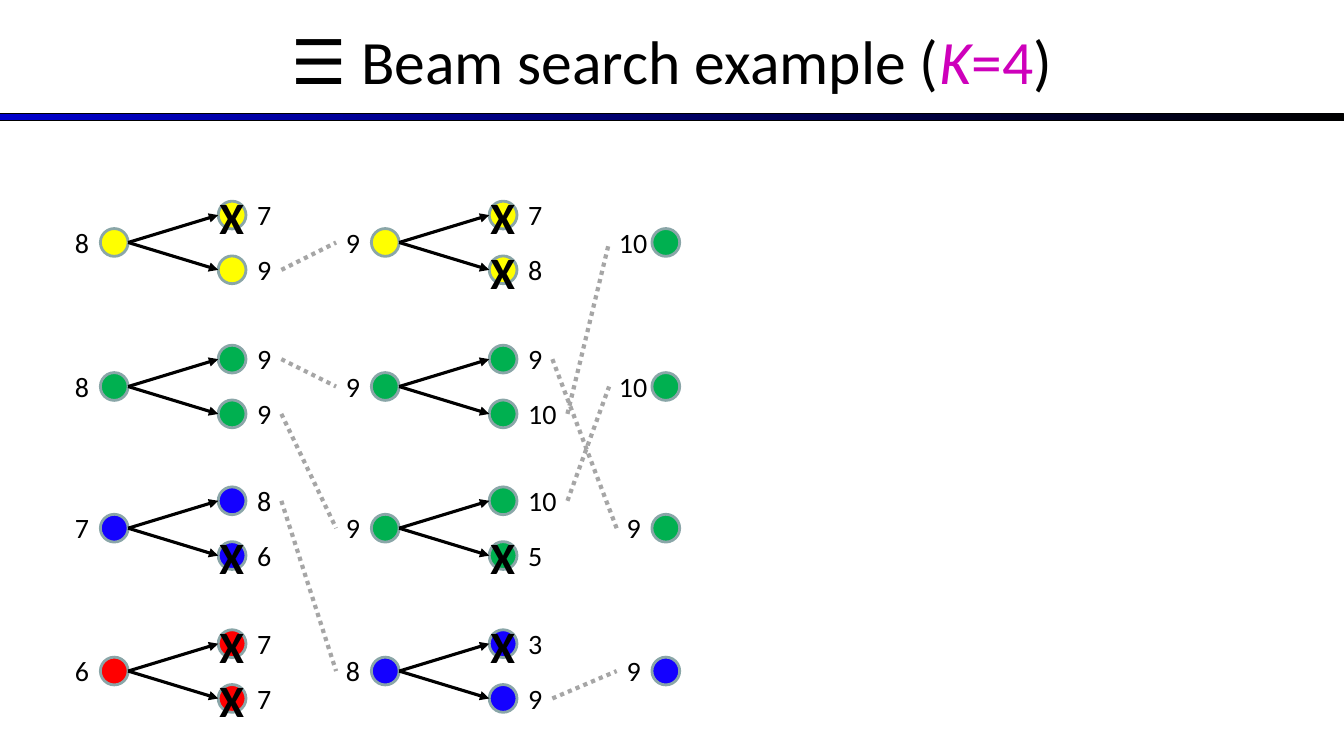
from lxml import etree
from pptx import Presentation
from pptx.dml.color import RGBColor
from pptx.enum.dml import MSO_LINE
from pptx.enum.shapes import MSO_CONNECTOR, MSO_SHAPE
from pptx.enum.text import MSO_ANCHOR, MSO_AUTO_SIZE, PP_ALIGN
from pptx.oxml.ns import qn
from pptx.util import Cm, Pt

BLACK = RGBColor(0x00, 0x00, 0x00)
NAVY = RGBColor(0x00, 0x00, 0xCC)
MAGENTA = RGBColor(0xCE, 0x00, 0xBB)
YELLOW = RGBColor(0xFF, 0xFF, 0x00)
GREEN = RGBColor(0x00, 0xB0, 0x50)
BLUE = RGBColor(0x14, 0x01, 0xFF)
RED = RGBColor(0xFF, 0x00, 0x00)
OUTLINE = RGBColor(0x8A, 0xA6, 0xA8)
GREY = RGBColor(0xA6, 0xA6, 0xA6)

# Layout in centimetres
SLIDE_WIDTH, SLIDE_HEIGHT = 33.87, 19.05
STAGE_X = [2.88, 9.71, 16.78]
ROW_Y = [6.11, 9.74, 13.31, 16.91]
DIAMETER = 0.7
CHILD_DISTANCE = 2.97
BRANCH_OFFSETS = [-0.69, 0.69]
PARENT_LABEL_SHIFT = -0.81
CHILD_LABEL_GAP = 0.38
LABEL_HEIGHT = 1.12
LABEL_WIDTHS = {1: 0.86, 2: 1.24}  # by number of digits

# Each beam entry is (score, colour)
FIRST_BEAM = [(8, YELLOW), (8, GREEN), (7, BLUE), (6, RED)]
# Scores of the two children per row, then the surviving (row, branch) in new order
EXPANSIONS = [
    ([(7, 9), (9, 9), (8, 6), (7, 7)], [(0, 1), (1, 0), (1, 1), (2, 0)]),
    ([(7, 8), (9, 10), (10, 5), (3, 9)], [(1, 1), (2, 0), (1, 0), (3, 1)]),
]


class BeamSlide:
    """Holds the style and the current slide."""

    font_name = "Calibri"

    def __init__(self, presentation):
        self.slide = presentation.slides.add_slide(presentation.slide_layouts[5])
        self.shapes = self.slide.shapes

    def style_run(self, run, size, color=BLACK, bold=False, italic=False):
        font = run.font
        font.name, font.size = self.font_name, Pt(size)
        font.bold, font.italic = bold, italic
        font.color.rgb = color

    def title(self, parts):
        title = self.shapes.title
        title.left, title.top = Cm(0), Cm(-0.08)
        title.width, title.height = Cm(SLIDE_WIDTH), Cm(3.18)
        title.text_frame.vertical_anchor = MSO_ANCHOR.MIDDLE
        paragraph = title.text_frame.paragraphs[0]
        paragraph.alignment = PP_ALIGN.CENTER
        for text, color, italic in parts:
            run = paragraph.add_run()
            run.text = text
            self.style_run(run, 44, color, italic=italic)

    def gradient_bar(self, top, height):
        bar = self.shapes.add_shape(
            MSO_SHAPE.RECTANGLE, Cm(0), Cm(top), Cm(SLIDE_WIDTH), Cm(height))
        bar.shadow.inherit = False
        bar.fill.gradient()
        bar.fill.gradient_angle = 0
        for stop, color in zip(bar.fill.gradient_stops, (NAVY, BLACK)):
            stop.color.rgb = color
        bar.line.color.rgb = BLACK
        bar.line.width = Pt(0.75)

    def node(self, x, y, color):
        circle = self.shapes.add_shape(
            MSO_SHAPE.OVAL, Cm(x - DIAMETER / 2), Cm(y - DIAMETER / 2),
            Cm(DIAMETER), Cm(DIAMETER))
        circle.shadow.inherit = False
        circle.fill.solid()
        circle.fill.fore_color.rgb = color
        circle.line.color.rgb = OUTLINE
        circle.line.width = Pt(2)

    def text(self, content, center_x, center_y, width, height, size, bold=False):
        box = self.shapes.add_textbox(
            Cm(center_x - width / 2), Cm(center_y - height / 2), Cm(width), Cm(height))
        frame = box.text_frame
        frame.word_wrap = False
        frame.auto_size = MSO_AUTO_SIZE.SHAPE_TO_FIT_TEXT
        frame.text = content
        self.style_run(frame.paragraphs[0].runs[0], size, bold=bold)
        return box

    def score(self, value, center_x, y):
        width = LABEL_WIDTHS[len(str(value))]
        return self.text(str(value), center_x, y, width, LABEL_HEIGHT, 20)

    def cross(self, x, y):
        self.text("X", x, y + 0.05, 1.14, 1.63, 32, bold=True)

    def connector(self, start, end, color, width):
        line = self.shapes.add_connector(
            MSO_CONNECTOR.STRAIGHT, *(Cm(value) for value in (*start, *end)))
        line.line.color.rgb = color
        line.line.width = Pt(width)
        etree.SubElement(line._element.spPr, qn("a:effectLst"))
        return line

    def arrow(self, start, end):
        line = self.connector(start, end, BLACK, 2.25)
        etree.SubElement(line.line._get_or_add_ln(), qn("a:tailEnd"), type="triangle")

    def dotted_link(self, source, target):
        line = self.connector((0, 0), (1, 1), GREY, 3)
        line.line.dash_style = MSO_LINE.ROUND_DOT
        line.begin_connect(source, 3)
        line.end_connect(target, 1)

    def parents(self, x, beam):
        labels = []
        for y, (value, color) in zip(ROW_Y, beam):
            self.node(x, y, color)
            labels.append(self.score(value, x + PARENT_LABEL_SHIFT, y))
        return labels

    def children(self, parent_x, beam, scores, survivors):
        labels = {}
        x = parent_x + CHILD_DISTANCE
        for row, (parent_y, (_, color)) in enumerate(zip(ROW_Y, beam)):
            for branch, offset in enumerate(BRANCH_OFFSETS):
                y = parent_y + offset
                value = scores[row][branch]
                self.node(x, y, color)
                self.arrow((parent_x + DIAMETER / 2, parent_y), (x - DIAMETER / 2, y))
                label_x = x + CHILD_LABEL_GAP + LABEL_WIDTHS[len(str(value))] / 2
                labels[row, branch] = self.score(value, label_x, y)
                if (row, branch) not in survivors:
                    self.cross(x, y)
        return labels


def main():
    presentation = Presentation()
    presentation.slide_width = Cm(SLIDE_WIDTH)
    presentation.slide_height = Cm(SLIDE_HEIGHT)
    beam_slide = BeamSlide(presentation)

    # Heading
    beam_slide.gradient_bar(2.87, 0.18)
    beam_slide.title([
        ("☰ Beam search example (", BLACK, False),
        ("K", MAGENTA, True),
        ("=4", MAGENTA, False),
        (")", BLACK, False),
    ])

    # Search stages: expand the beam, cross out the losers, link the survivors
    beam = FIRST_BEAM
    beam_slide.parents(STAGE_X[0], beam)
    for x, next_x, (scores, survivors) in zip(STAGE_X, STAGE_X[1:], EXPANSIONS):
        child_labels = beam_slide.children(x, beam, scores, survivors)
        beam = [(scores[row][branch], beam[row][1]) for row, branch in survivors]
        parent_labels = beam_slide.parents(next_x, beam)
        for survivor, parent_label in zip(survivors, parent_labels):
            beam_slide.dotted_link(child_labels[survivor], parent_label)

    presentation.save("out.pptx")


if __name__ == "__main__":
    main()
